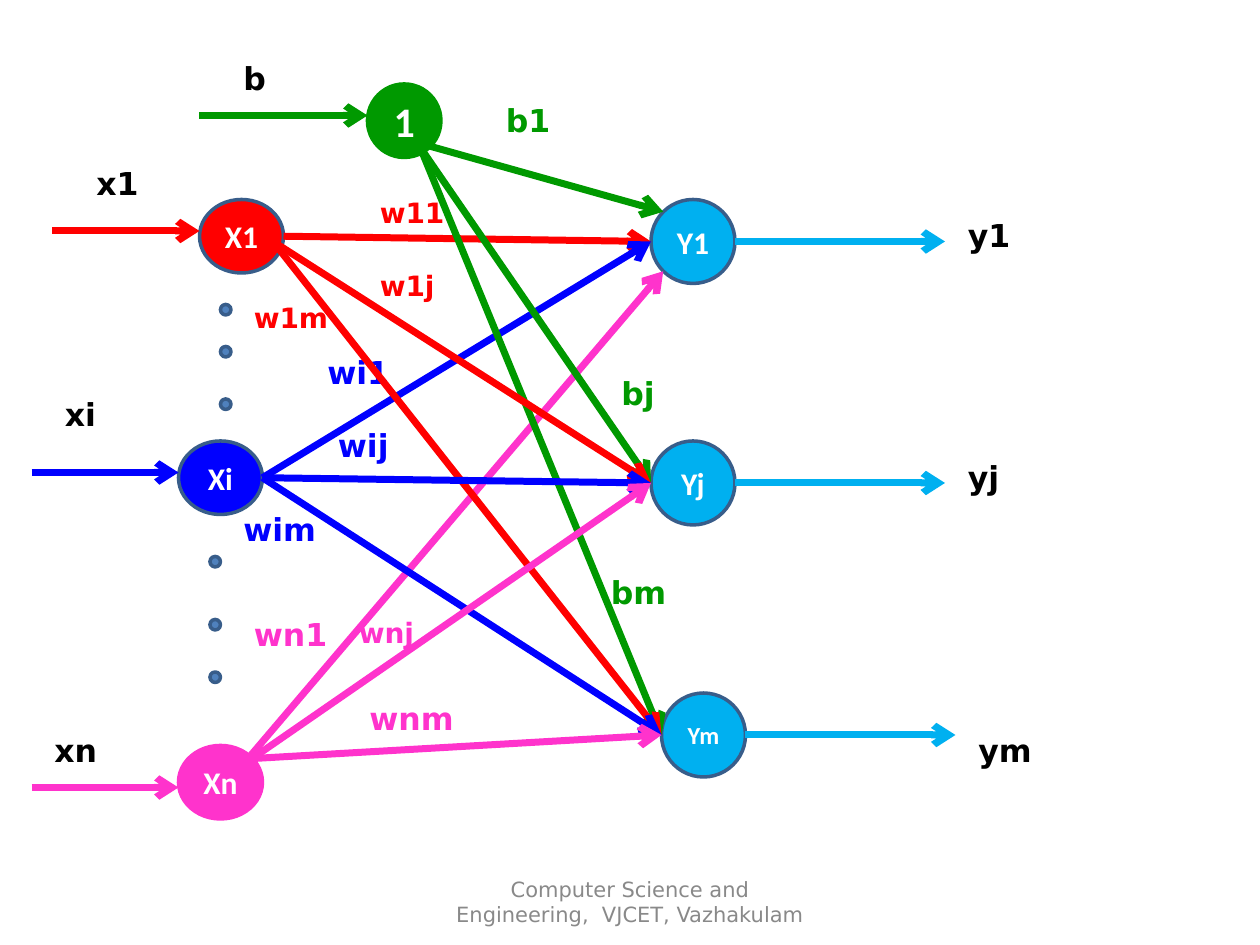
from lxml.etree import SubElement
from pptx import Presentation
from pptx.dml.color import RGBColor
from pptx.enum.shapes import MSO_CONNECTOR, MSO_SHAPE
from pptx.enum.text import MSO_ANCHOR, MSO_AUTO_SIZE, PP_ALIGN
from pptx.oxml.ns import qn
from pptx.util import Pt

COLORS = {
    "green": "009900", "red": "FF0000", "blue": "0000FF", "pink": "FF33CC",
    "sky": "00B0F0", "navy": "385D8A", "steel": "4F81BD",
    "black": "000000", "white": "FFFFFF", "grey": "898989",
}

INPUTS = {
    "1": ((210, 48, 42, 42), "green", "green", 24, "b", (-78, -18), (-96, 18)),
    "X1": ((114, 114, 48, 42), "red", "navy", 18, "x1", (-66, -24), (-84, 18)),
    "Xi": ((102, 252, 48, 42), "blue", "navy", 18, "xi", (-72, -30), (-84, 18)),
    "Xn": ((102, 426, 48, 42), "pink", "pink", 18, "xn", (-78, -12), (-84, 24)),
}
OUTPUTS = {
    "Y1": ((372, 114, 48, 48), 18, "y1", (174, 6), 42),
    "Yj": ((372, 252, 48, 48), 18, "yj", (174, 6), 42),
    "Ym": ((378, 396, 48, 48), 14, "ym", (174, 18), 60),
}
DOTS = [((126, 174, 6, 60), (0, 24, 54)), ((120, 318, 6, 72), (0, 36, 66))]

# source, target, start in source, end in target, label, label offset, width, size
WEIGHTS = [
    ("1", "Y1", (35.5, 35.5), (7, 7), "b1", (72, 6), 54, 18),
    ("X1", "Y1", (48, 21), (0, 24), "w11", (96, -6), 66, 16),
    ("Xi", "Y1", (48, 21), (0, 24), "wi1", (78, -54), 54, 18),
    ("Xn", "Y1", (41, 6), (7, 41), "wn1", (36, -78), 66, 18),
    ("1", "Yj", (30, 36), (0, 24), "bj", (138, 162), 54, 18),
    ("1", "Ym", (30, 36), (0, 24), "bm", (132, 276), 54, 18),
    ("X1", "Yj", (42, 24), (0, 24), "w1j", (96, 36), 66, 16),
    ("X1", "Ym", (42, 24), (0, 24), "w1m", (24, 54), 66, 16),
    ("Xi", "Yj", (48, 21), (0, 24), "wij", (84, -12), 54, 18),
    ("Xi", "Ym", (48, 21), (0, 24), "wim", (30, 36), 66, 18),
    ("Xn", "Yj", (42, 7.5), (0, 24), "wnj", (96, -78), 66, 16),
    ("Xn", "Ym", (42, 7.5), (0, 24), "wnm", (102, -30), 66, 18),
]


def rgb(name):
    return RGBColor.from_string(COLORS[name])


def shift(box, offset):
    return box[0] + offset[0], box[1] + offset[1]


def set_text(sp, text, font, size, color, bold=True, align=PP_ALIGN.LEFT):
    tf = sp.text_frame
    tf.word_wrap = True
    tf.text = text
    p = tf.paragraphs[0]
    p.alignment = align
    r = p.runs[0]
    r.font.name, r.font.size, r.font.bold = font, Pt(size), bold
    r.font.color.rgb = rgb(color)
    return tf


def add_circle(s, box, fill, outline):
    sp = s.shapes.add_shape(MSO_SHAPE.OVAL, *map(Pt, box))
    sp.shadow.inherit = False
    sp.fill.solid()
    sp.fill.fore_color.rgb = rgb(fill)
    sp.line.color.rgb = rgb(outline)
    sp.line.width = Pt(2)
    return sp


def add_node(s, box, text, size, fill, outline):
    sp = add_circle(s, box, fill, outline)
    tf = set_text(sp, text, "Calibri", size, "white", align=PP_ALIGN.CENTER)
    tf.vertical_anchor = MSO_ANCHOR.MIDDLE


def add_arrow(s, start, end, color):
    sp = s.shapes.add_connector(MSO_CONNECTOR.STRAIGHT, *map(Pt, start + end))
    sp.line.color.rgb = rgb(color)
    sp.line.width = Pt(4)
    SubElement(sp.line._get_or_add_ln(), qn("a:tailEnd"), type="arrow")
    SubElement(sp._element.spPr, qn("a:effectLst"))


def add_label(s, at, width, text, color, size=18):
    height = 29 if size == 18 else 26.5
    sp = s.shapes.add_textbox(*map(Pt, at + (width, height)))
    tf = set_text(sp, text, "DejaVu Sans", size, color)
    tf.auto_size = MSO_AUTO_SIZE.SHAPE_TO_FIT_TEXT


def add_input(s, box, name, fill, outline, size, label, label_at, arrow_at):
    add_node(s, box, name, size, fill, outline)
    add_arrow(s, shift(box, arrow_at), shift(box, (0, arrow_at[1])), fill)
    add_label(s, shift(box, label_at), 42, label, "black")


def add_output(s, box, name, size, label, label_at, label_width):
    width, middle = box[2], box[3] / 2
    add_node(s, box, name, size, "sky", "navy")
    add_arrow(s, shift(box, (width, middle)), shift(box, (width + 120, middle)), "sky")
    add_label(s, shift(box, label_at), label_width, label, "black")


def add_dots(s, box, offsets):
    for dy in offsets:
        add_circle(s, shift(box, (0, dy)) + (box[2], box[2]), "steel", "navy")


def add_weight(s, source, target, start, end, label, label_at, width, size):
    box, color = INPUTS[source][:2]
    add_arrow(s, shift(box, start), shift(OUTPUTS[target][0], end), color)
    add_label(s, shift(box, label_at), width, label, color, size)


def add_footer(s, box):
    sp = s.shapes.add_textbox(*map(Pt, box))
    tf = set_text(sp, "Computer Science and Engineering,  VJCET, Vazhakulam",
                  "DejaVu Sans", 12, "grey", bold=False, align=PP_ALIGN.CENTER)
    tf.vertical_anchor = MSO_ANCHOR.MIDDLE


def main():
    prs = Presentation()
    prs.slide_width, prs.slide_height = Pt(720), Pt(540)
    s = prs.slides.add_slide(prs.slide_layouts[6])
    for name, (box, *details) in INPUTS.items():
        add_input(s, box, name, *details)
    for box, offsets in DOTS:
        add_dots(s, box, offsets)
    for name, (box, *details) in OUTPUTS.items():
        add_output(s, box, name, *details)
    for weight in WEIGHTS:
        add_weight(s, *weight)
    add_footer(s, (246, 500.5, 228, 29))
    prs.save("out.pptx")


if __name__ == "__main__":
    main()
